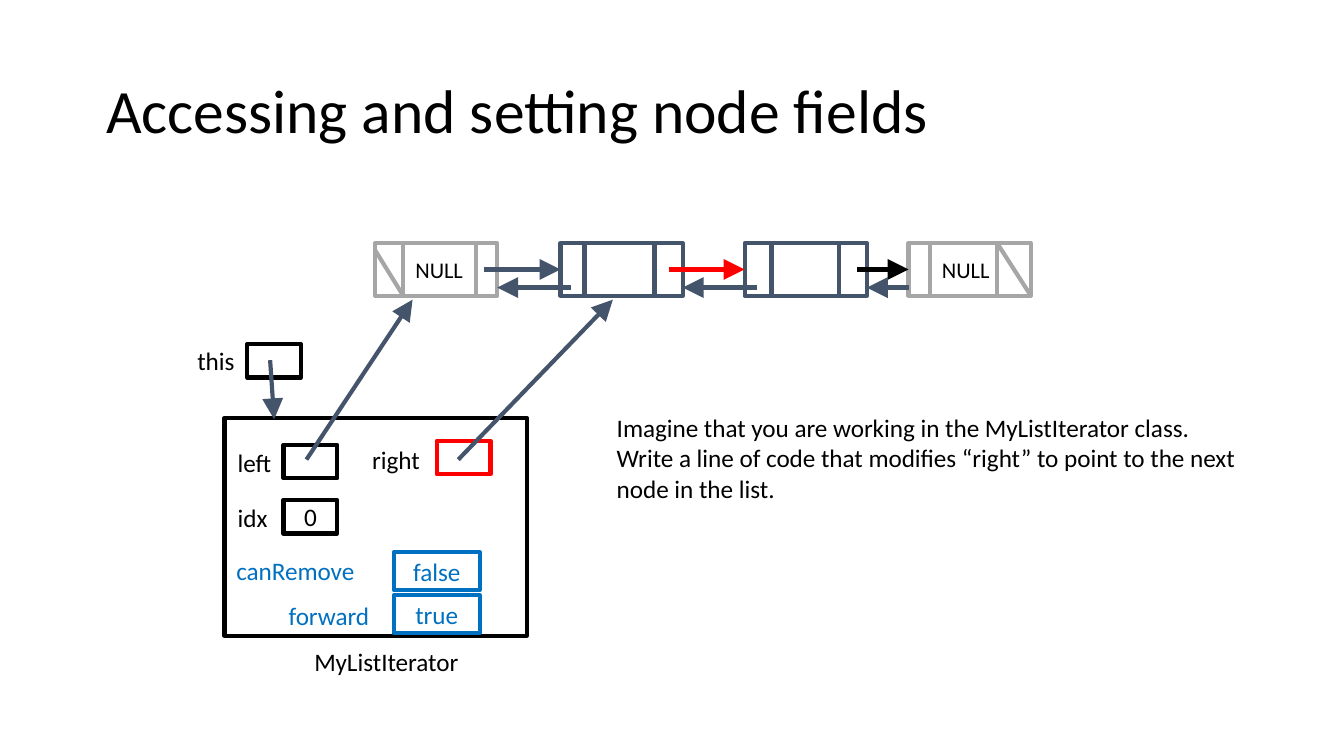
import pptx
import pptx.dml.color
import pptx.enum.shapes
import pptx.enum.text
import pptx.oxml.ns
import pptx.util
from pptx.util import Inches

BLACK = pptx.dml.color.RGBColor(0x00, 0x00, 0x00)
RED = pptx.dml.color.RGBColor(0xFF, 0x00, 0x00)
BLUE = pptx.dml.color.RGBColor(0x00, 0x70, 0xC0)
SLATE = pptx.dml.color.RGBColor(0x44, 0x54, 0x6A)
GRAY = pptx.dml.color.RGBColor(0xA6, 0xA6, 0xA6)

ALIGN = pptx.enum.text.PP_ALIGN
ANCHOR = pptx.enum.text.MSO_ANCHOR
LINE_WIDTH = pptx.util.Pt(2.25)

NODE_TOP, NODE_W, NODE_H = 1.81, 0.91, 0.39
NODE_BOTTOM = NODE_TOP + NODE_H
NEXT_Y, PREV_Y = NODE_TOP + NODE_H / 2, 2.14
FIELD_SIZE = (0.4, 0.25)
FLAG_SIZE = (0.64, 0.28)


def write(tf, text, size=13.5, color=BLACK, align=ALIGN.LEFT):
    p = tf.paragraphs[0]
    p.alignment = align
    r = p.add_run()
    r.text = text
    formats = {"name": "Calibri", "size": pptx.util.Pt(size), "bold": False}
    for name, value in formats.items():
        setattr(r.font, name, value)
    r.font.color.rgb = color


def add_title(slide, text):
    title = slide.shapes.title
    box = {"left": 0.69, "top": 0.3, "width": 8.62, "height": 1.09}
    for name, value in box.items():
        setattr(title, name, Inches(value))
    tf = title.text_frame
    tf.auto_size = pptx.enum.text.MSO_AUTO_SIZE.NONE
    tf.vertical_anchor = ANCHOR.MIDDLE
    write(tf, text, 33)
    tf.paragraphs[0].line_spacing = 0.9


def add_label(slide, text, x, y, w, h=0.33, size=13.5, color=BLACK, wrap=True):
    sp = slide.shapes.add_textbox(Inches(x), Inches(y), Inches(w), Inches(h))
    sp.text_frame.word_wrap = wrap
    write(sp.text_frame, text, size, color)


def add_box(slide, x, y, size, color=BLACK, text=""):
    """Add an unfilled rectangle, with centred text in its line colour."""
    w, h = size
    sp = slide.shapes.add_shape(
        pptx.enum.shapes.MSO_SHAPE.RECTANGLE,
        Inches(x), Inches(y), Inches(w), Inches(h))
    sp.shadow.inherit = False
    sp.fill.background()
    sp.line.color.rgb = color
    sp.line.width = LINE_WIDTH
    if text:
        sp.text_frame.vertical_anchor = ANCHOR.MIDDLE
        write(sp.text_frame, text, color=color, align=ALIGN.CENTER)
    return sp


def add_line(slide, start, end, color=SLATE, arrow=False):
    x1, y1, x2, y2 = (Inches(v) for v in (*start, *end))
    line = slide.shapes.add_connector(
        pptx.enum.shapes.MSO_CONNECTOR.STRAIGHT, x1, y1, x2, y2)
    line.line.color.rgb = color
    line.line.width = LINE_WIDTH
    qn = pptx.oxml.ns.qn
    sp_pr = line._element.spPr
    if arrow:
        ln = sp_pr.find(qn("a:ln"))
        head = {"type": "triangle", "w": "lg", "len": "lg"}
        ln.append(ln.makeelement(qn("a:tailEnd"), head))
    sp_pr.append(sp_pr.makeelement(qn("a:effectLst"), {}))
    return line


def add_node(slide, x, dividers, color):
    sp = add_box(slide, x, NODE_TOP, (NODE_W, NODE_H), color)
    for divider in dividers:
        add_line(slide, (divider, NODE_TOP), (divider, NODE_BOTTOM), color)
    return sp


def add_list(slide):
    """Add the doubly linked list with its two sentinel nodes."""
    lefts = (2.79, 4.17, 5.54, 6.76)
    dividers = ((3, 3.54), (4.35, 4.87), (5.74, 6.24), (6.92, 7.42))
    colors = (GRAY, SLATE, SLATE, GRAY)
    nodes = [add_node(slide, *node) for node in zip(lefts, dividers, colors)]

    # The outer field of each sentinel is struck out.
    add_line(slide, (2.79, 1.86), (3, NODE_BOTTOM), GRAY)
    add_line(slide, (7.42, NODE_TOP), (7.67, NODE_BOTTOM), GRAY)

    tf = nodes[0].text_frame
    tf.margin_left = Inches(0.3)
    tf.vertical_anchor = ANCHOR.MIDDLE
    write(tf, "NULL", 12)
    add_label(slide, "NULL", 6.91, 1.86, 0.56, 0.3, size=12, wrap=False)

    next_starts = (3.6, 4.98, 6.38)
    prev_starts = (4.25, 5.63, 6.76)
    next_colors = (SLATE, RED, BLACK)
    for i, color in enumerate(next_colors):
        arrow = add_line(slide, (next_starts[i], NEXT_Y),
                         (lefts[i + 1], NEXT_Y), color, arrow=True)
        arrow.end_connect(nodes[i + 1], 1)
        add_line(slide, (prev_starts[i], PREV_Y),
                 (lefts[i] + NODE_W, PREV_Y), arrow=True)


def add_iterator(slide):
    """Add the iterator object, its fields and the reference to it."""
    add_box(slide, 1.67, 3.11, (2.25, 1.62))
    add_label(slide, "MyListIterator", 2.24, 4.76, 1.33)

    # label, label x, label y, label width, box x, box y, size, colour, value
    fields = (
        ("this", 1.37, 2.52, 0.57, 1.84, 2.56, FIELD_SIZE, BLACK, ""),
        ("left", 1.67, 3.28, 0.55, 2.11, 3.31, FIELD_SIZE, BLACK, ""),
        ("right", 2.67, 3.26, 0.59, 3.25, 3.28, FIELD_SIZE, RED, ""),
        ("idx", 1.67, 3.69, 0.55, 2.11, 3.72, FIELD_SIZE, BLACK, "0"),
        ("canRemove", 1.66, 4.08, 1.29, 2.93, 4.11, FLAG_SIZE, BLUE, "false"),
        ("forward", 2.05, 4.42, 0.86, 2.93, 4.43, FLAG_SIZE, BLUE, "true"),
    )
    for label, lx, ly, lw, x, y, size, color, value in fields:
        label_color = BLUE if color == BLUE else BLACK
        add_label(slide, label, lx, ly, lw, color=label_color)
        add_box(slide, x, y, size, color, value)

    pointers = (((2.01, 2.68), (2.04, 3.12)),
                ((2.28, 3.42), (3.07, 2.23)),
                ((3.41, 3.42), (4.56, 2.23)))
    for start, end in pointers:
        add_line(slide, start, end, arrow=True)


def main():
    prs = pptx.Presentation()
    prs.slide_width = Inches(10)
    prs.slide_height = prs.slide_width * 9 // 16
    slide = prs.slides.add_slide(prs.slide_layouts.get_by_name("Title Only"))
    add_title(slide, "Accessing and setting node fields")
    add_iterator(slide)
    add_list(slide)
    add_label(slide, "Imagine that you are working in the MyListIterator class.  "
              "Write a line of code that modifies “right” to point to the next "
              "node in the list.", 4.49, 3.02, 4.95, 0.78)
    prs.save("out.pptx")


if __name__ == "__main__":
    main()
